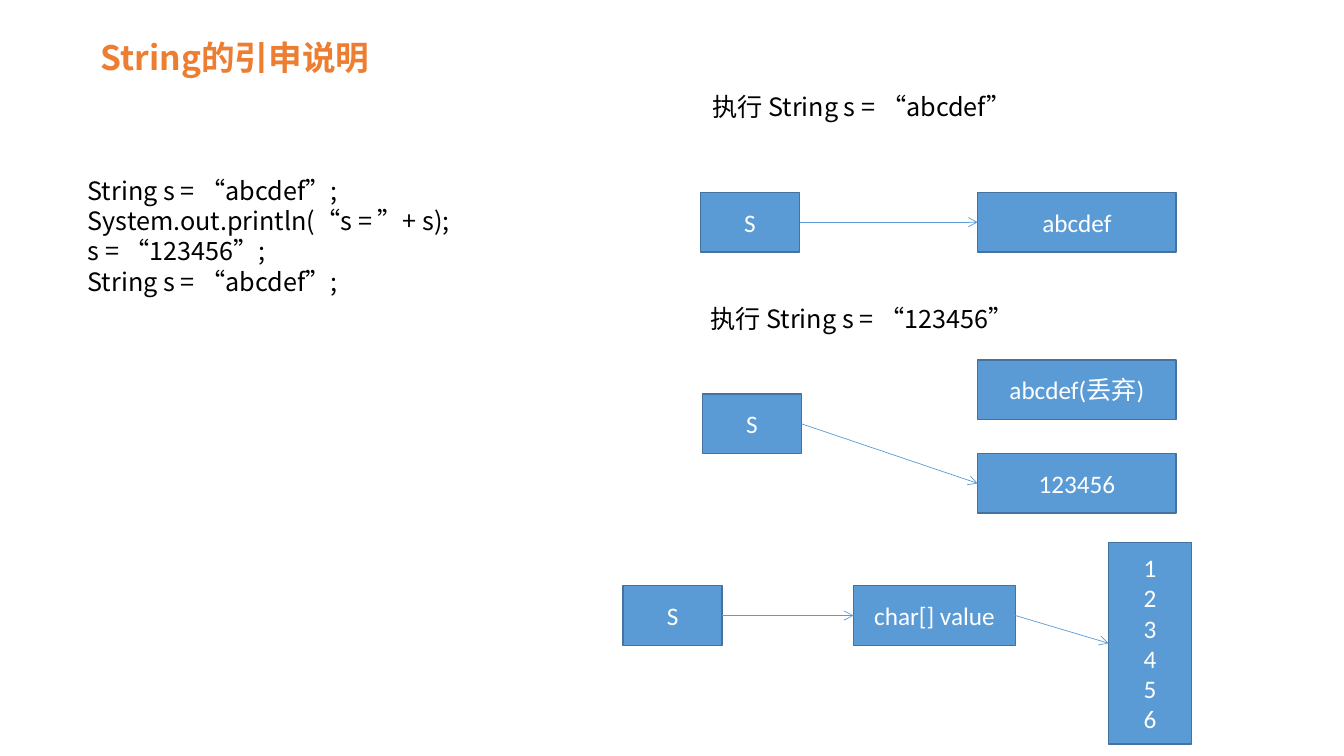
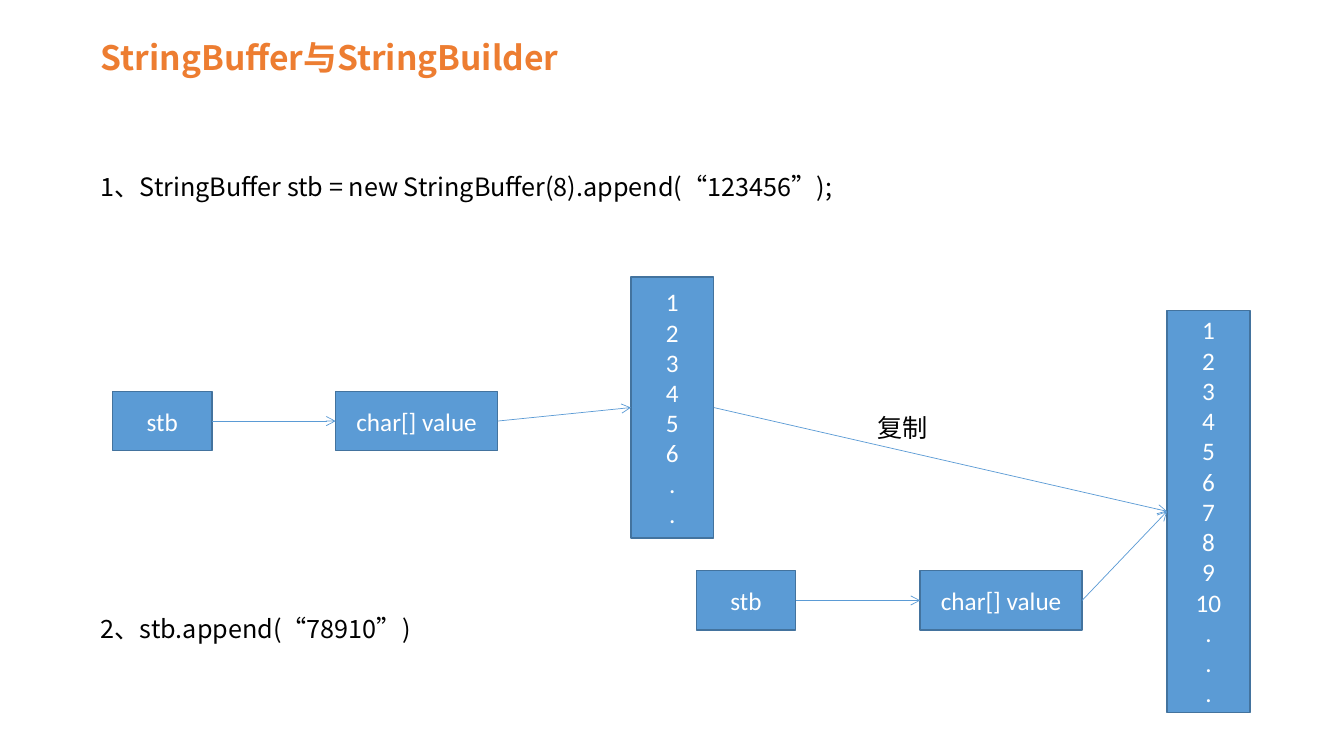
from dataclasses import dataclass

from lxml import etree
from pptx import Presentation
from pptx import util as u
from pptx.dml.color import RGBColor
from pptx.enum import shapes, text
from pptx.oxml.ns import qn


@dataclass(frozen=True)
class Theme:
    head: str = "ED7D31"
    ink: str = "000000"
    pale: str = "FFFFFF"
    fill: str = "5B9BD5"
    edge: str = "43739E"
    cjk: str = "Noto Sans CJK SC"
    latin: str = "Calibri"
    big: int = 24
    body: int = 18
    lead: float = 1.2
    rim: float = 1
    wire: float = 0.5


T = Theme()
ROW = 1.5
SIZES = {
    "name": (2.5, ROW),
    "value": (5, ROW),
    "field": (4.08, ROW),
    "six": (2.09, 5.08),
    "eight": (2.09, 6.58),
    "grown": (2.09, 10.13),
}
SIX = list("123456")
DECK = [
    {
        "title": "String的引申说明",
        "notes": [
            (1.96, 4.29, 12.7, [
                "String s = “abcdef”;",
                "System.out.println(“s = ”+ s);",
                "s = “123456”;",
                "String s = “abcdef”;",
            ]),
            (17.7, 2.18, 12.7, ["执行 String s = “abcdef”"]),
            (17.65, 7.52, 12.7, ["执行 String s = “123456”"]),
        ],
        "boxes": {
            "s1": ("name", 17.65, 4.85, ["S"]),
            "first": ("value", 24.64, 4.85, ["abcdef"]),
            "s2": ("name", 17.7, 9.93, ["S"]),
            "lost": ("value", 24.64, 9.07, ["abcdef(丢弃)"]),
            "next": ("value", 24.64, 11.43, ["123456"]),
            "s3": ("name", 15.7, 14.76, ["S"]),
            "field": ("field", 21.51, 14.76, ["char[] value"]),
            "chars": ("six", 27.94, 13.67, SIX),
        },
        "links": [("s1", "first"), ("s2", "next"),
                  ("s3", "field"), ("field", "chars")],
    },
    {
        "title": "StringBuffer与StringBuilder",
        "notes": [
            (2.29, 4.19, 25.8, [
                "1、StringBuffer stb = new StringBuffer(8).append(“123456”);"]),
            (2.29, 15.34, 25.8, ["2、stb.append(“78910”)"]),
            (21.87, 10.26, 2.72, ["复制"]),
        ],
        "boxes": {
            "stb1": ("name", 2.84, 9.86, ["stb"]),
            "field1": ("field", 8.46, 9.86, ["char[] value"]),
            "old": ("eight", 15.9, 6.98, SIX + ["."] * 2),
            "new": ("grown", 29.41, 7.82,
                    SIX + ["7", "8", "9", "10"] + ["."] * 3),
            "stb2": ("name", 17.55, 14.38, ["stb"]),
            "field2": ("field", 23.19, 14.38, ["char[] value"]),
        },
        "links": [("stb1", "field1"), ("field1", "old"), ("stb2", "field2"),
                  ("field2", "new"), ("old", "new")],
    },
]


def write(frame, lines, font=T.cjk, size=T.body, color=T.ink, bold=False,
          align=text.PP_ALIGN.LEFT):
    frame.word_wrap = True
    for i, line in enumerate(lines):
        para = frame.add_paragraph() if i else frame.paragraphs[0]
        para.alignment = align
        para.line_spacing = u.Pt(size * T.lead)
        run = para.add_run()
        run.text = line
        run.font.name = font
        run.font.size = u.Pt(size)
        run.font.bold = bold
        run.font.color.rgb = RGBColor.from_string(color)
        east = etree.SubElement(run.font._element, qn("a:ea"))
        east.set("typeface", T.cjk)


def note(page, left, top, wide, lines, **style):
    size = style.get("size", T.body)
    tall = u.Pt(size * T.lead * len(lines)) + u.Cm(0.25)
    box = page.shapes.add_textbox(u.Cm(left), u.Cm(top), u.Cm(wide), tall)
    write(box.text_frame, lines, **style)
    box.text_frame.auto_size = text.MSO_AUTO_SIZE.SHAPE_TO_FIT_TEXT


def block(page, kind, left, top, lines):
    spot = [u.Cm(n) for n in (left, top, *SIZES[kind])]
    box = page.shapes.add_shape(shapes.MSO_SHAPE.RECTANGLE, *spot)
    box.shadow.inherit = False
    box.fill.solid()
    box.fill.fore_color.rgb = RGBColor.from_string(T.fill)
    box.line.color.rgb = RGBColor.from_string(T.edge)
    box.line.width = u.Pt(T.rim)
    box.text_frame.vertical_anchor = text.MSO_ANCHOR.MIDDLE
    write(box.text_frame, lines, font=T.latin, color=T.pale,
          align=text.PP_ALIGN.CENTER)
    return box


def link(page, start, end):
    wire = page.shapes.add_connector(shapes.MSO_CONNECTOR.STRAIGHT, 0, 0, 0, 0)
    wire.begin_connect(start, 3)
    wire.end_connect(end, 1)
    wire.line.color.rgb = RGBColor.from_string(T.fill)
    wire.line.width = u.Pt(T.wire)
    tip = etree.SubElement(wire.line._get_or_add_ln(), qn("a:tailEnd"))
    tip.set("type", "arrow")
    etree.SubElement(wire._element.spPr, qn("a:effectLst"))


def build(deck, data):
    page = deck.slides.add_slide(deck.slide_layouts[6])
    note(page, 2.29, 0.81, 14.6, [data["title"]],
         size=T.big, color=T.head, bold=True)
    boxes = {key: block(page, *item) for key, item in data["boxes"].items()}
    for start, end in data["links"]:
        link(page, boxes[start], boxes[end])
    for item in data["notes"]:
        note(page, *item)


deck = Presentation()
deck.slide_width = u.Cm(33.87)
deck.slide_height = u.Cm(19.05)
for data in DECK:
    build(deck, data)
deck.save("out.pptx")
